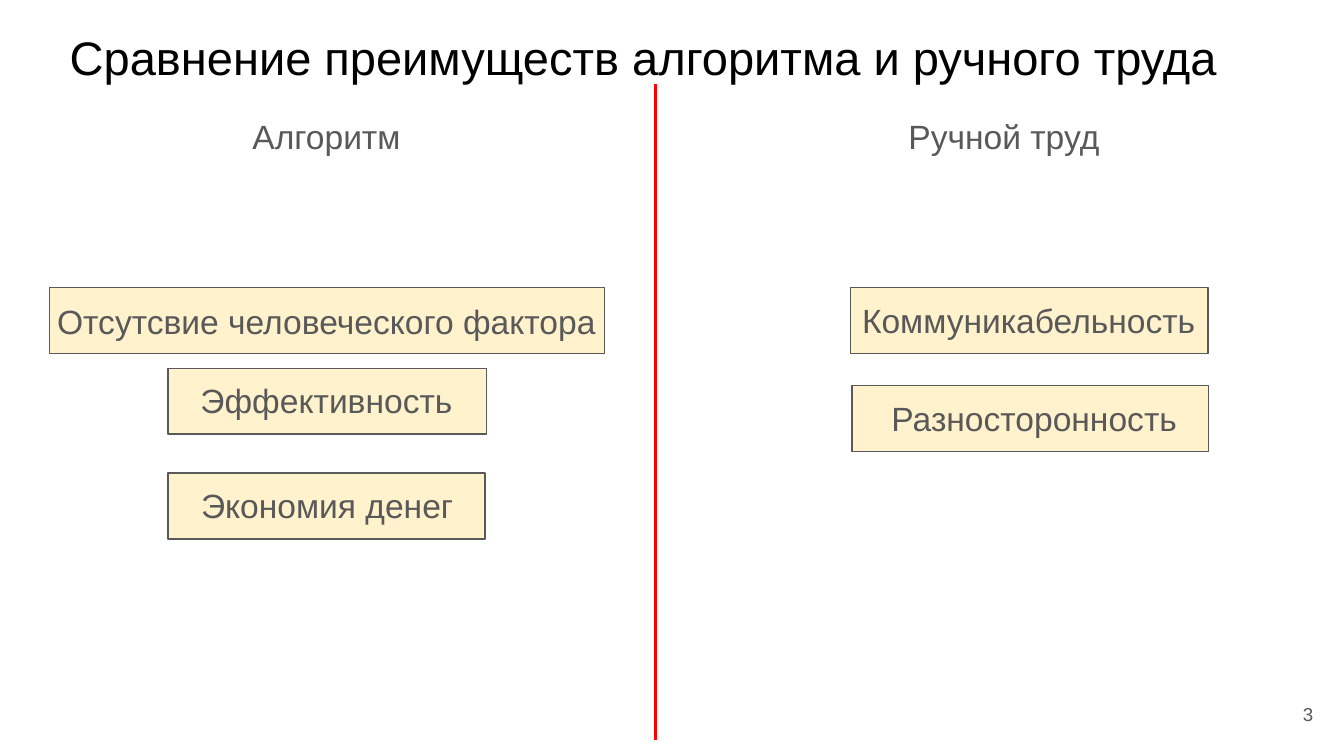
from dataclasses import dataclass
from typing import NamedTuple

from pptx import Presentation
from pptx.dml.color import RGBColor
from pptx.enum.shapes import MSO_SHAPE
from pptx.enum.text import MSO_ANCHOR, MSO_AUTO_SIZE, PP_ALIGN
from pptx.slide import Slide
from pptx.util import Inches, Pt


@dataclass(frozen=True)
class Theme:
    font: str = "Arial"
    black: RGBColor = RGBColor(0x00, 0x00, 0x00)
    gray: RGBColor = RGBColor(0x59, 0x59, 0x59)
    cream: RGBColor = RGBColor(0xFF, 0xF2, 0xCC)
    red: RGBColor = RGBColor(0xFF, 0x00, 0x00)
    white: RGBColor = RGBColor(0xFF, 0xFF, 0xFF)
    title_size: float = 25.2
    body_size: float = 18
    number_size: float = 10
    card_line: float = 0.75
    divider_line: float = 2


class Box(NamedTuple):
    left: float
    top: float
    width: float
    height: float


class Card(NamedTuple):
    text: str
    frame: Box
    label: Box


THEME = Theme()
SLIDE_W = 10
SLIDE_H = SLIDE_W * 9 / 16
CARD_H = 0.49
LABEL_H = 0.5

HEADINGS = [
    ("Алгоритм", Box(1.25, 0.76, 2.36, LABEL_H)),
    ("Ручной труд", Box(6.29, 0.76, 2.36, LABEL_H)),
]
CARDS = [
    Card("Отсутсвие человеческого фактора",
         Box(0.37, 2.14, 4.13, CARD_H), Box(0.13, 2.14, 4.6, LABEL_H)),
    Card("Экономия денег",
         Box(1.25, 3.52, 2.36, CARD_H), Box(1.32, 3.51, 2.23, LABEL_H)),
    Card("Коммуникабельность",
         Box(6.33, 2.14, 2.66, CARD_H), Box(6.29, 2.13, 2.73, LABEL_H)),
    Card("Эффективность",
         Box(1.25, 2.74, 2.37, CARD_H), Box(1.25, 2.73, 2.36, LABEL_H)),
    Card("Разносторонность",
         Box(6.34, 2.87, 2.65, CARD_H), Box(6.4, 2.86, 2.59, LABEL_H)),
]


def add_text(s: Slide, text: str, box: Box, size: float = THEME.body_size,
             color: RGBColor = THEME.gray, align: PP_ALIGN = PP_ALIGN.CENTER,
             anchor: MSO_ANCHOR = MSO_ANCHOR.TOP,
             fit: MSO_AUTO_SIZE = MSO_AUTO_SIZE.SHAPE_TO_FIT_TEXT) -> None:
    tf = s.shapes.add_textbox(*map(Inches, box)).text_frame
    tf.word_wrap = True
    tf.auto_size = fit
    tf.vertical_anchor = anchor
    tf.margin_left = tf.margin_right = Inches(0.1)
    tf.margin_top = tf.margin_bottom = Inches(0.1)
    p = tf.paragraphs[0]
    p.text = text
    p.alignment = align
    p.font.name = THEME.font
    p.font.size = Pt(size)
    p.font.color.rgb = color


def add_rect(s: Slide, box: Box, fill: RGBColor, line: RGBColor, width: float) -> None:
    sp = s.shapes.add_shape(MSO_SHAPE.RECTANGLE, *map(Inches, box))
    sp.shadow.inherit = False
    sp.fill.solid()
    sp.fill.fore_color.rgb = fill
    sp.line.color.rgb = line
    sp.line.width = Pt(width)


def add_card(s: Slide, card: Card) -> None:
    add_rect(s, card.frame, THEME.cream, THEME.gray, THEME.card_line)
    add_text(s, card.text, card.label)


def main() -> None:
    prs = Presentation()
    prs.slide_width, prs.slide_height = Inches(SLIDE_W), Inches(SLIDE_H)
    s = prs.slides.add_slide(prs.slide_layouts[6])

    # Title and slide number
    add_text(s, "Cравнение преимуществ алгоритма и ручного труда",
             Box(0.42, 0.11, 9.32, 0.63), THEME.title_size, THEME.black,
             PP_ALIGN.LEFT, fit=MSO_AUTO_SIZE.NONE)
    add_text(s, "3", Box(9.27, 5.1, 0.6, 0.43), THEME.number_size,
             align=PP_ALIGN.RIGHT, anchor=MSO_ANCHOR.MIDDLE, fit=MSO_AUTO_SIZE.NONE)

    # Column headings
    for text, box in HEADINGS:
        add_text(s, text, box)

    # Advantages
    for card in CARDS:
        add_card(s, card)

    # Divider between the columns
    add_rect(s, Box(4.85, 0.61, 0.05, 4.91), THEME.red, THEME.white, THEME.divider_line)

    prs.save("out.pptx")


if __name__ == "__main__":
    main()
